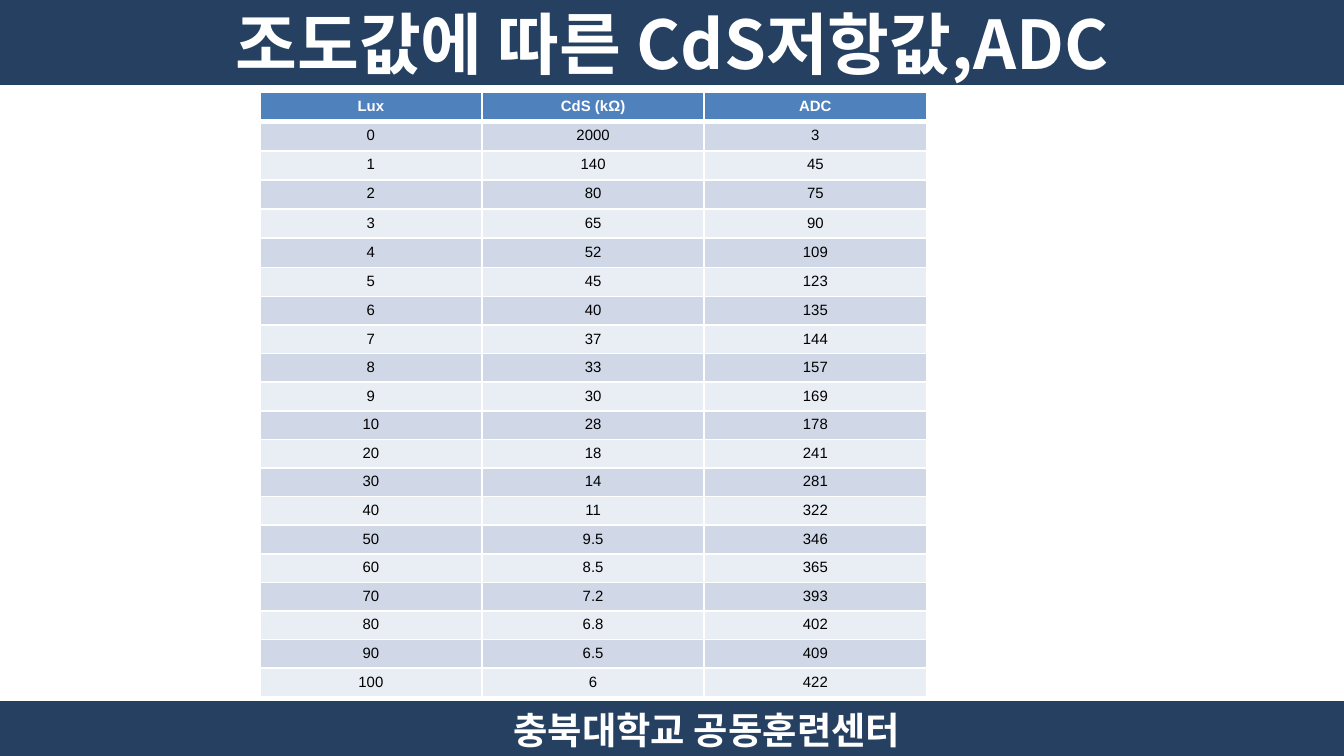
"""Build a slide with a table of CdS resistance and ADC values by lux."""
from lxml.etree import SubElement as Sub
from pptx import Presentation
from pptx.dml.color import RGBColor as RGB
from pptx.enum.shapes import MSO_SHAPE as Kind
from pptx.enum.text import MSO_ANCHOR as Anchor, PP_ALIGN as Align
from pptx.oxml.ns import qn
from pptx.util import Cm, Pt

TITLE = "조도값에 따른 CdS저항값,ADC"
FOOTER = "충북대학교 공동훈련센터"
HEAD = ("Lux", "CdS (kΩ)", "ADC")
DATA = [
    (0, 2000, 3), (1, 140, 45), (2, 80, 75), (3, 65, 90), (4, 52, 109),
    (5, 45, 123), (6, 40, 135), (7, 37, 144), (8, 33, 157), (9, 30, 169),
    (10, 28, 178), (20, 18, 241), (30, 14, 281), (40, 11, 322),
    (50, 9.5, 346), (60, 8.5, 365), (70, 7.2, 393), (80, 6.8, 402),
    (90, 6.5, 409), (100, 6, 422),
]

NAVY = RGB(0x25, 0x40, 0x61)
BLUE = RGB(0x4F, 0x81, 0xBD)
BANDS = (RGB(0xE9, 0xED, 0xF4), RGB(0xD0, 0xD8, 0xE8))
WHITE = RGB(0xFF, 0xFF, 0xFF)
BLACK = RGB(0, 0, 0)
SANS, KOREAN = "Arial", "Noto Sans CJK KR"

WIDE, HIGH = 25.4, 14.28
COL = 4.2
TALL, LOW, TALLS = 0.55, 0.54, 7


def write(frame, text, size, font, color, bold):
    para = frame.paragraphs[0]
    para.alignment = Align.CENTER
    run = para.add_run()
    run.text = text
    run.font.size = Pt(size)
    run.font.name = font
    run.font.color.rgb = color
    run.font.bold = bold
    Sub(run.font._element, qn("a:ea"), typeface=font)


def add_bar(slide, top, high, line, text, size, inset=0.25):
    bar = slide.shapes.add_shape(
        Kind.RECTANGLE, 0, Cm(top), Cm(WIDE), Cm(high))
    bar.shadow.inherit = False
    bar.fill.solid()
    bar.fill.fore_color.rgb = NAVY
    bar.line.color.rgb = NAVY
    bar.line.width = Pt(line)
    frame = bar.text_frame
    frame.word_wrap = True
    frame.vertical_anchor = Anchor.MIDDLE
    frame.margin_left = Cm(inset)
    write(frame, text, size, KOREAN, WHITE, True)


def add_edge(cell, side, width):
    edge = Sub(cell._tc.get_or_add_tcPr(), qn(f"a:ln{side}"), w=str(Pt(width)))
    fill = Sub(edge, qn("a:solidFill"))
    Sub(fill, qn("a:srgbClr"), val=str(WHITE))


def fill_cell(cell, text, row):
    head = row == 0
    cell.margin_left = cell.margin_right = Cm(0.25)
    cell.margin_top = cell.margin_bottom = Cm(0.1)
    for side in "LRTB":
        thick = (head and side == "B") or (row == 1 and side == "T")
        add_edge(cell, side, 3 if thick else 1)
    cell.fill.solid()
    cell.fill.fore_color.rgb = BLUE if head else BANDS[row % 2]
    write(cell.text_frame, str(text), 8, SANS, WHITE if head else BLACK, head)


def add_grid(slide, left, top):
    rows = [HEAD, *DATA]
    highs = [TALL if i < TALLS else LOW for i in range(len(rows))]
    grid = slide.shapes.add_table(
        len(rows), len(HEAD), Cm(left), Cm(top),
        Cm(COL * len(HEAD)), Cm(sum(highs))).table
    for col in grid.columns:
        col.width = Cm(COL)
    for i, (row, high) in enumerate(zip(rows, highs)):
        grid.rows[i].height = Cm(high)
        for j, text in enumerate(row):
            fill_cell(grid.cell(i, j), text, i)


def main():
    deck = Presentation()
    deck.slide_width, deck.slide_height = Cm(WIDE), Cm(HIGH)
    slide = deck.slides.add_slide(deck.slide_layouts[6])
    add_bar(slide, 13.28, 1, 2, FOOTER, 20, 1.57)
    add_bar(slide, 0, 1.6, 0.75, TITLE, 36)
    add_grid(slide, 4.91, 1.75)
    deck.save("out.pptx")


if __name__ == "__main__":
    main()
